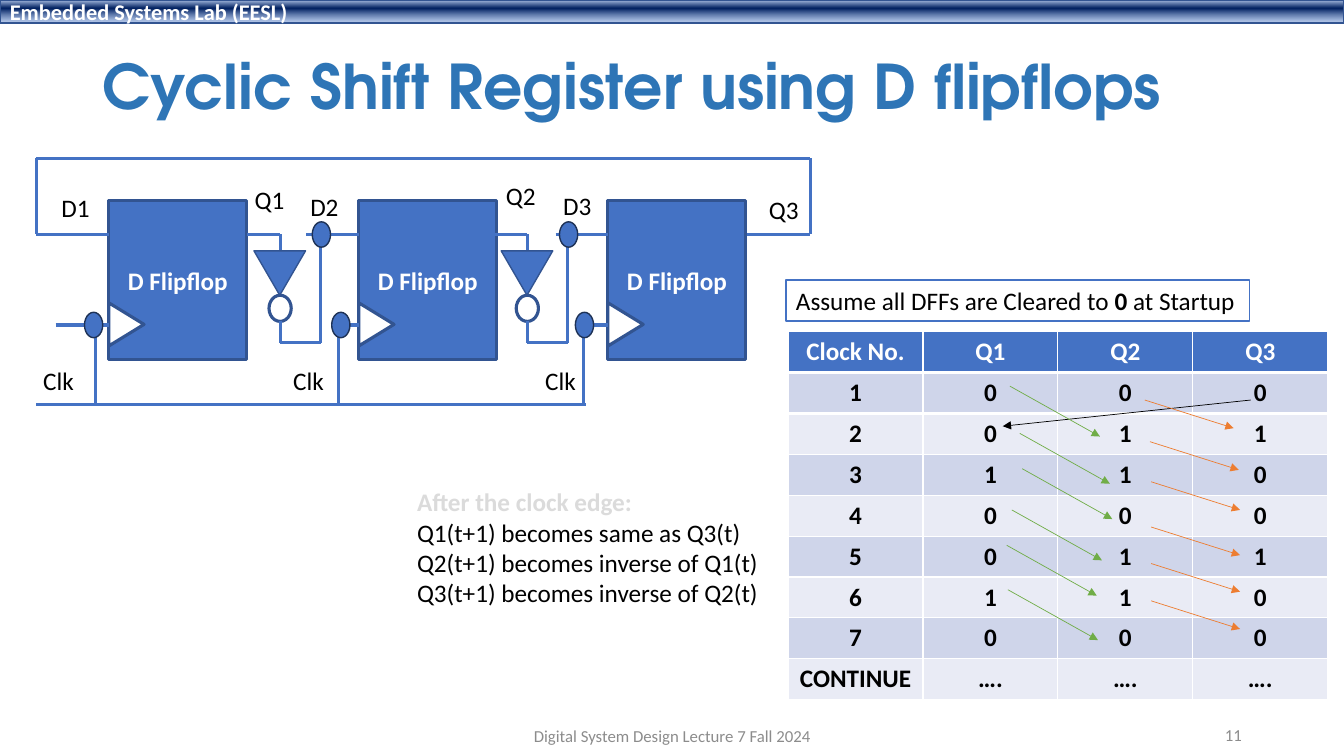
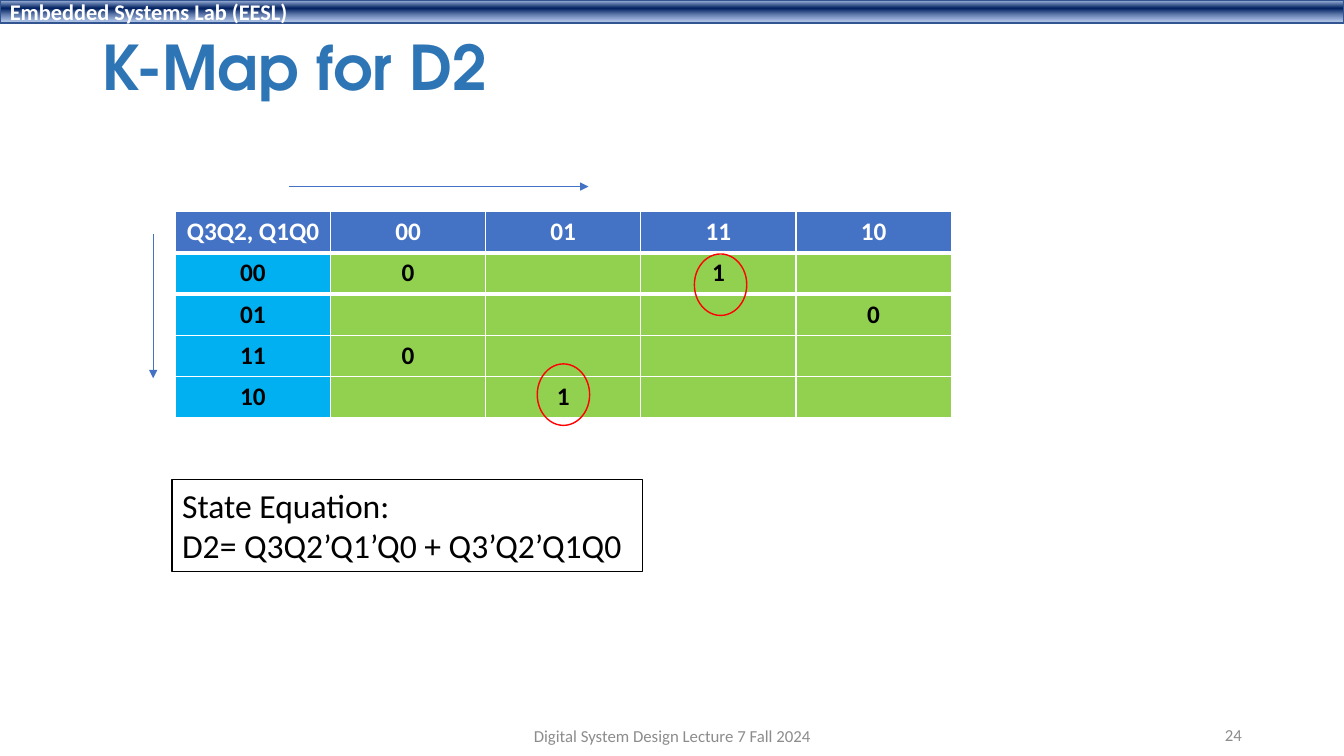
from dataclasses import dataclass
from copy import deepcopy
from itertools import pairwise
from typing import NamedTuple

from lxml.etree import SubElement
from pptx import Presentation
from pptx.dml.color import RGBColor
from pptx.enum.shapes import MSO_CONNECTOR, MSO_SHAPE
from pptx.enum.text import MSO_ANCHOR, PP_ALIGN
from pptx.oxml.ns import qn
from pptx.util import Cm, Pt

BLUE = RGBColor(0x44, 0x72, 0xC4)
DARK_BLUE = RGBColor(0x32, 0x54, 0x91)
DOT_LINE = RGBColor(0x1E, 0x32, 0x56)
TITLE_BLUE = RGBColor(0x2E, 0x75, 0xB6)
BAND_TOP = RGBColor(0xAB, 0xC0, 0xE4)
BAND_MIDDLE = RGBColor(0x00, 0x20, 0x60)
BAND_BOTTOM = RGBColor(0x7E, 0x9E, 0xD6)
BLACK = RGBColor(0, 0, 0)
WHITE = RGBColor(0xFF, 0xFF, 0xFF)
GRAY = RGBColor(0x8C, 0x8C, 0x8C)
PALE_GRAY = RGBColor(0xDB, 0xDB, 0xDB)
GREEN = RGBColor(0x70, 0xAD, 0x47)
ORANGE = RGBColor(0xED, 0x7D, 0x31)
RED = RGBColor(0xFF, 0, 0)
ROW_ODD = RGBColor(0xCF, 0xD5, 0xEA)
ROW_EVEN = RGBColor(0xE9, 0xEB, 0xF5)
KMAP_KEY = RGBColor(0, 0xB0, 0xF0)
KMAP_CELL = RGBColor(0x92, 0xD0, 0x50)

BODY_FONT = "Calibri"
TITLE_FONT = "TeX Gyre Adventor"
DATA_Y, CLOCK_Y, BUS_Y = 5.9, 8.19, 10.19
FLIPFLOP_W = 3.48


class Box(NamedTuple):
    x: float
    y: float
    w: float
    h: float


class Point(NamedTuple):
    x: float
    y: float


@dataclass(frozen=True)
class Style:
    size: float = 18
    color: RGBColor = BLACK
    bold: bool = False
    font: str = BODY_FONT
    align: PP_ALIGN = PP_ALIGN.LEFT


@dataclass(frozen=True)
class Stage:
    number: int
    x: float
    d_label: Point
    q_label: Point
    clk_label_x: float
    clk_wire_x: float
    drop_x: float
    dot_x: float


HEADING = Style(color=WHITE, bold=True, align=PP_ALIGN.CENTER)
CELL = Style(bold=True, align=PP_ALIGN.CENTER)
STAGES = [
    Stage(1, 2.74, Point(1.3, 4.72), Point(6.17, 4.52), 0.84, 1.4, 2.41, 2.13),
    Stage(2, 9.04, Point(7.57, 4.7), Point(12.5, 4.42), 7.14, 8.33, 8.53, 8.36),
    Stage(3, 15.32, Point(13.94, 4.67), Point(19.13, 4.78), 13.49, 14.5, 14.71, 14.5),
]
INVERTER_XS = [6.22, 12.45]
GREEN_STARTS = [Point(25.45, 9.73), Point(25.7, 10.92), Point(25.76, 11.81),
                Point(25.5, 12.85), Point(25.37, 13.74), Point(25.4, 14.86)]
ORANGE_STARTS = [Point(28.85, 10.08), Point(28.98, 11.13), Point(29.01, 12.14),
                 Point(29.01, 13.28), Point(29.01, 14.2), Point(29.01, 15.14)]
SHIFT_ROWS = [
    ["Clock No.", "Q1", "Q2", "Q3"],
    ["1", "0", "0", "0"],
    ["2", "0", "1", "1"],
    ["3", "1", "1", "0"],
    ["4", "0", "0", "0"],
    ["5", "0", "1", "1"],
    ["6", "1", "1", "0"],
    ["7", "0", "0", "0"],
    ["CONTINUE", "….", "….", "…."],
]
KMAP_ROWS = [
    ["Q3Q2, Q1Q0", "00", "01", "11", "10"],
    ["00", "0", "", "1", ""],
    ["01", "", "", "", "0"],
    ["11", "0", "", "", ""],
    ["10", "", "1", "", ""],
]


def format_run(r, style: Style) -> None:
    r.font.name = style.font
    r.font.size = Pt(style.size)
    r.font.bold = style.bold
    r.font.color.rgb = style.color


def write(tf, text: str, style: Style) -> None:
    tf.text = text
    for p in tf.paragraphs:
        p.alignment = style.align
        for r in p.runs:
            format_run(r, style)


def lengths(box: Box) -> list:
    return [Cm(v) for v in box]


def add_text(s, box: Box, text: str, style: Style = Style(), wrap: bool = False,
             anchor: MSO_ANCHOR = MSO_ANCHOR.TOP):
    sp = s.shapes.add_textbox(*lengths(box))
    tf = sp.text_frame
    tf.word_wrap = wrap
    tf.vertical_anchor = anchor
    write(tf, text, style)
    return sp


def add_framed_text(s, box: Box, text: str, style: Style, line: RGBColor):
    sp = add_text(s, box, text, style)
    sp.fill.solid()
    sp.fill.fore_color.rgb = WHITE
    sp.line.color.rgb = line
    sp.line.width = Pt(1)
    return sp


def add_figure(s, kind: MSO_SHAPE, box: Box, fill: RGBColor | None, line: RGBColor,
               width: float = 1, rotation: float = 0):
    sp = s.shapes.add_shape(kind, *lengths(box))
    sp.shadow.inherit = False
    sp.rotation = rotation
    if fill is None:
        sp.fill.background()
    else:
        sp.fill.solid()
        sp.fill.fore_color.rgb = fill
    sp.line.color.rgb = line
    sp.line.width = Pt(width)
    return sp


def add_line(s, start: Point, end: Point, color: RGBColor = BLUE, width: float = 2.25,
             arrow: bool = False) -> None:
    cx = s.shapes.add_connector(MSO_CONNECTOR.STRAIGHT, *lengths(Box(*start, *end)))
    cx.line.color.rgb = color
    cx.line.width = Pt(width)
    if arrow:
        SubElement(cx.line._get_or_add_ln(), qn("a:tailEnd"), type="triangle")
    SubElement(cx._element.spPr, qn("a:effectLst"))


def add_wire(s, *points: Point) -> None:
    for start, end in pairwise(points):
        add_line(s, start, end)


def add_arrow(s, start: Point, end: Point, color: RGBColor) -> None:
    add_line(s, start, end, color, 0.5, True)


def set_border(cell, side: str, width: float) -> None:
    tc_pr = cell._tc.get_or_add_tcPr()
    ln = SubElement(tc_pr, qn(f"a:{side}"), w=str(Pt(width)))
    SubElement(SubElement(ln, qn("a:solidFill")), qn("a:srgbClr"), val=str(WHITE))
    tc_pr.insert(0, ln)


def add_grid(s, origin: Point, col_w: float, row_h: float, rows: list[list[str]],
             key_fills: list[RGBColor], fills: list[RGBColor]) -> None:
    n_cols = len(rows[0])
    box = Box(*origin, col_w * n_cols, row_h * len(rows))
    table = s.shapes.add_table(len(rows), n_cols, *lengths(box)).table
    for i, row in enumerate(rows):
        for j, text in enumerate(row):
            cell = table.cell(i, j)
            body = (key_fills if j == 0 else fills)[(i - 1) % len(fills)]
            cell.fill.solid()
            cell.fill.fore_color.rgb = BLUE if i == 0 else body
            write(cell.text_frame, text, HEADING if i == 0 else CELL)
            if i < 2:
                set_border(cell, "lnT" if i else "lnB", 3)


def add_band(s) -> None:
    sp = add_figure(s, MSO_SHAPE.RECTANGLE, Box(0, 0, 33.87, 0.58), BLUE, DARK_BLUE)
    sp.fill.gradient()
    sp.fill.gradient_angle = 270
    gs_list = sp._element.spPr.find(qn("a:gradFill")).find(qn("a:gsLst"))
    gs_list.append(deepcopy(gs_list[-1]))
    stops = [(0.02, BAND_TOP), (0.38, BAND_MIDDLE), (0.93, BAND_BOTTOM)]
    for stop, (position, color) in zip(sp.fill.gradient_stops, stops):
        stop.position = position
        stop.color.rgb = color
    SubElement(gs_list[-1][0], qn("a:alpha"), val="64000")
    sp.text_frame.vertical_anchor = MSO_ANCHOR.MIDDLE
    write(sp.text_frame, "Embedded Systems Lab (EESL)", Style(16, WHITE, True))


def new_slide(prs, title: str, title_box: Box, number: int):
    s = prs.slides.add_slide(prs.slide_layouts[6])
    add_band(s)
    sp = add_text(s, title_box, title, Style(44, TITLE_BLUE, True, TITLE_FONT),
                  True, MSO_ANCHOR.MIDDLE)
    sp.text_frame.paragraphs[0].line_spacing = 0.9
    add_text(s, Box(23.93, 18.01, 7.62, 1.02), str(number),
             Style(12, GRAY, align=PP_ALIGN.RIGHT), True, MSO_ANCHOR.MIDDLE)
    add_text(s, Box(11.23, 18.03, 11.43, 1.02), "Digital System Design Lecture 7 Fall 2024",
             Style(12, GRAY, align=PP_ALIGN.CENTER), True, MSO_ANCHOR.MIDDLE)
    return s


def add_label(s, at: Point, text: str) -> None:
    add_text(s, Box(*at, 1.5, 1.03), text)


def add_dot(s, x: float, y: float) -> None:
    add_figure(s, MSO_SHAPE.OVAL, Box(x, y, 0.46, 0.64), BLUE, DOT_LINE)


def add_stage(s, stage: Stage) -> None:
    x = stage.x
    sp = add_figure(s, MSO_SHAPE.RECTANGLE, Box(x, 5.05, FLIPFLOP_W, 4.01),
                    BLUE, DARK_BLUE, 2.25)
    sp.text_frame.vertical_anchor = MSO_ANCHOR.MIDDLE
    write(sp.text_frame, "D Flipflop", HEADING)
    add_figure(s, MSO_SHAPE.ISOSCELES_TRIANGLE, Box(x - 0.1, 7.73, 1.09, 0.89),
               WHITE, DARK_BLUE, 2.25, 90)
    add_wire(s, Point(x - 1.32, DATA_Y), Point(x, DATA_Y))
    add_wire(s, Point(stage.clk_wire_x, CLOCK_Y), Point(x, CLOCK_Y))
    add_wire(s, Point(stage.drop_x, BUS_Y), Point(stage.drop_x, CLOCK_Y))
    add_dot(s, stage.dot_x, 7.87)
    add_label(s, stage.d_label, f"D{stage.number}")
    add_label(s, stage.q_label, f"Q{stage.number}")
    add_label(s, Point(stage.clk_label_x, 9.07), "Clk")


def add_inverter(s, x: float) -> None:
    mid, out = x + 0.84, x + 1.86
    add_wire(s, Point(x, DATA_Y), Point(mid, DATA_Y), Point(mid, 6.32))
    add_figure(s, MSO_SHAPE.ISOSCELES_TRIANGLE, Box(x + 0.18, 6.32, 1.3, 1.12),
               BLUE, DARK_BLUE, rotation=180)
    add_figure(s, MSO_SHAPE.OVAL, Box(x + 0.56, 7.44, 0.56, 0.66), None, DARK_BLUE, 2.25)
    add_wire(s, Point(mid, 8.1), Point(mid, 8.64), Point(out, 8.64), Point(out, DATA_Y))
    add_dot(s, x + 1.65, 5.59)


def build_shift_register(prs) -> None:
    s = new_slide(prs, "Cyclic Shift Register using D flipflops",
                  Box(2.34, 1.02, 29.21, 2.46), 11)
    sp = add_framed_text(s, Box(19.81, 7.06, 11.68, 1.03),
                         "Assume all DFFs are Cleared to ", Style(), BLUE)
    for text, bold in (("0", True), (" at Startup", False)):
        r = sp.text_frame.paragraphs[0].add_run()
        r.text = text
        format_run(r, Style(bold=bold))
    bands = [ROW_ODD, ROW_EVEN]
    add_grid(s, Point(19.86, 8.36), 3.4, 1.03, SHIFT_ROWS, bands, bands)
    rules = add_text(s, Box(10.26, 12.14, 9.35, 3.33),
                     "After the clock edge:\nQ1(t+1) becomes same as Q3(t)\n"
                     "Q2(t+1) becomes inverse of Q1(t)\nQ3(t+1) becomes inverse of Q2(t)")
    format_run(rules.text_frame.paragraphs[0].runs[0], Style(color=PALE_GRAY, bold=True))
    add_arrow(s, Point(31.52, 10.08), Point(25.27, 10.74), BLACK)
    for starts, dx, dy, color in ((GREEN_STARTS, 2.27, 1.27, GREEN),
                                  (ORANGE_STARTS, 2.24, 0.71, ORANGE)):
        for x, y in starts:
            add_arrow(s, Point(x, y), Point(x + dx, y + dy), color)
    add_wire(s, Point(18.8, DATA_Y), Point(20.42, DATA_Y), Point(20.42, 3.99),
             Point(0.91, 3.99), Point(0.91, DATA_Y), Point(1.65, DATA_Y))
    add_wire(s, Point(0.91, BUS_Y), Point(14.78, BUS_Y))
    for stage in STAGES:
        add_stage(s, stage)
    for x in INVERTER_XS:
        add_inverter(s, x)


def build_kmap(prs) -> None:
    s = new_slide(prs, "K-Map for D2", Box(2.34, 0.81, 29.21, 1.96), 24)
    add_grid(s, Point(4.42, 5.33), 3.91, 1.04, KMAP_ROWS, [KMAP_KEY], [KMAP_CELL])
    add_framed_text(s, Box(4.34, 12.09, 11.86, 2.31),
                    "State Equation:\nD2= Q3Q2’Q1’Q0 + Q3’Q2’Q1Q0", Style(24), BLACK)
    for x, y in (Point(13.54, 9.17), Point(17.5, 6.4)):
        add_figure(s, MSO_SHAPE.OVAL, Box(x, y, 1.32, 1.55), None, RED)
    add_arrow(s, Point(3.86, 5.89), Point(3.86, 9.53), BLUE)
    add_arrow(s, Point(7.29, 4.7), Point(14.83, 4.7), BLUE)


def main() -> None:
    prs = Presentation()
    prs.slide_width, prs.slide_height = Cm(33.87), Cm(19.05)
    build_shift_register(prs)
    build_kmap(prs)
    prs.save("out.pptx")


if __name__ == "__main__":
    main()
